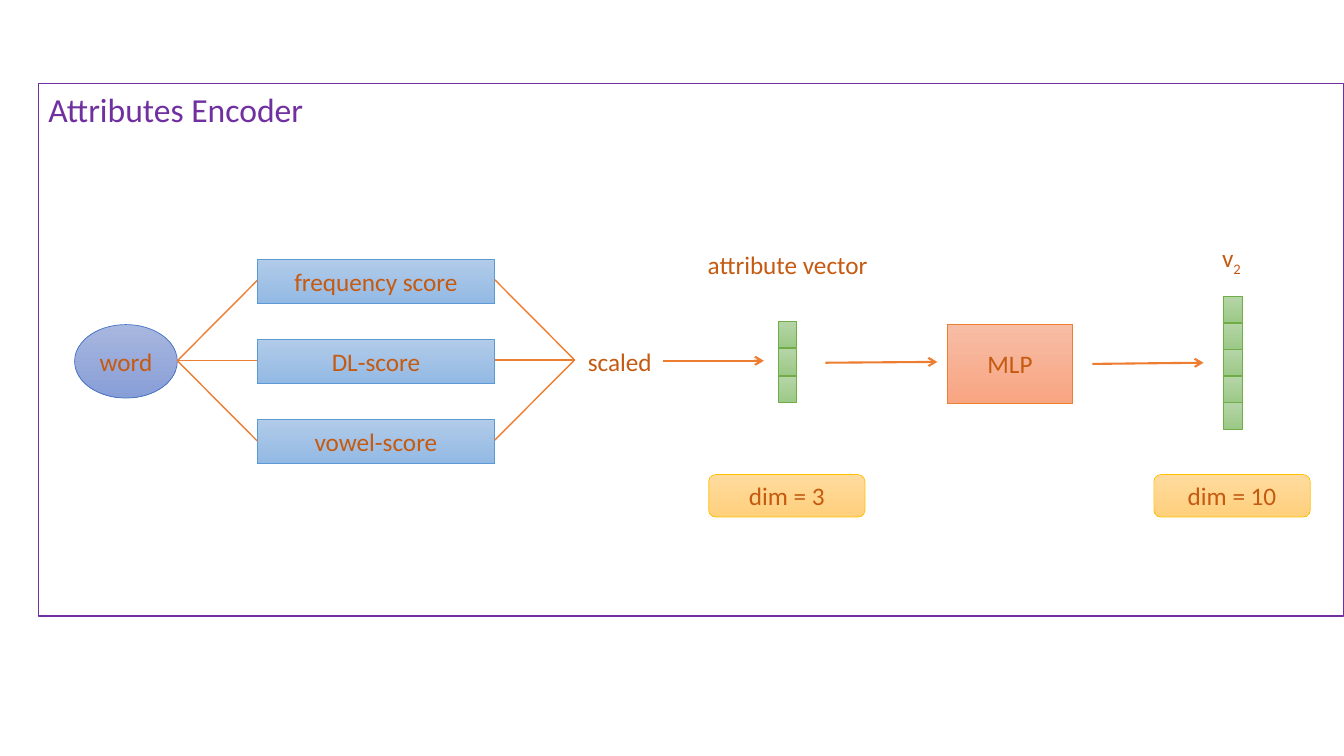
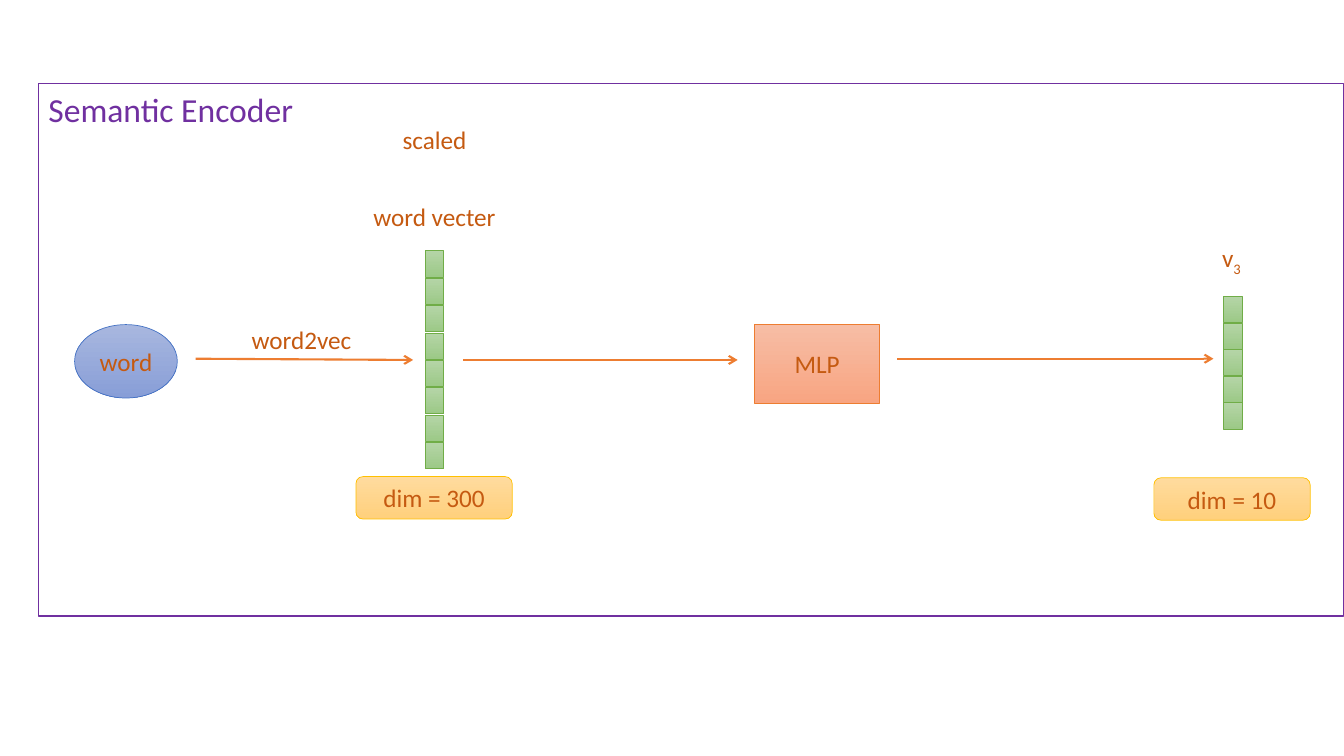
from dataclasses import dataclass

from lxml.etree import SubElement
from pptx import Presentation
from pptx.dml.color import RGBColor
from pptx.enum.shapes import MSO_CONNECTOR, MSO_SHAPE
from pptx.enum.text import MSO_ANCHOR, MSO_AUTO_SIZE, PP_ALIGN
from pptx.oxml.ns import qn
from pptx.slide import Slide
from pptx.text.text import TextFrame
from pptx.util import Cm, Pt

FONT = "Calibri"
INK, PURPLE, ORANGE = "C55A11", "7030A0", "ED7D31"
MID = 9.09   # height of the main flow, in cm
ROW = 2.02   # distance between score boxes


@dataclass
class Style:
    """Preset shape, gradient ends, outline and size in cm."""
    kind: MSO_SHAPE
    top: str
    end: str
    edge: str
    wide: float
    high: float


@dataclass
class Label:
    text: str
    x: float
    y: float
    wide: float = 3.66
    sub: str = ""


@dataclass
class Box:
    style: Style
    x: float
    y: float
    text: str = ""


@dataclass
class Stack:
    """Column of vector cells."""
    x: float
    y: float
    count: int
    step: float


@dataclass
class Link:
    x1: float
    y1: float
    x2: float
    y2: float
    arrow: bool = True


WORD = Style(MSO_SHAPE.OVAL, "A8B7DF", "889ED7", "4472C4", 2.59, 1.85)
SCORE = Style(MSO_SHAPE.RECTANGLE, "B1CBE9", "93B9E4", "5B9BD5", 5.99, 1.12)
CELL = Style(MSO_SHAPE.RECTANGLE, "B5D5A7", "9CC987", "70AD47", 0.46, 0.66)
MLP = Style(MSO_SHAPE.RECTANGLE, "F7BDA5", "F8A582", ORANGE, 3.15, 1.98)
DIM = Style(MSO_SHAPE.ROUNDED_RECTANGLE, "FFDB9E", "FFD07C", "FFC000", 3.94, 1.07)


def rgb(code: str) -> RGBColor:
    return RGBColor.from_string(code)


def write(frame: TextFrame, text: str, size: float = 18, color: str = INK,
          align: PP_ALIGN = PP_ALIGN.CENTER, sub: str = "") -> None:
    frame.text = text
    frame.word_wrap = True
    para = frame.paragraphs[0]
    para.alignment = align
    if sub:
        low = para.add_run()
        low.text = sub
        low._r.get_or_add_rPr().set("baseline", "-25000")
    for run in para.runs:
        run.font.name = FONT
        run.font.size = Pt(size)
        run.font.color.rgb = rgb(color)


def add_box(slide: Slide, box: Box) -> None:
    style = box.style
    shape = slide.shapes.add_shape(style.kind, Cm(box.x), Cm(box.y),
                                   Cm(style.wide), Cm(style.high))
    shape.shadow.inherit = False
    shape.fill.gradient()
    shape.fill.gradient_angle = 270
    for stop, code in zip(shape.fill.gradient_stops, (style.top, style.end)):
        stop.color.rgb = rgb(code)
    shape.line.color.rgb = rgb(style.edge)
    shape.line.width = Pt(0.5)
    if box.text:
        write(shape.text_frame, box.text)
        shape.text_frame.vertical_anchor = MSO_ANCHOR.MIDDLE


def add_label(slide: Slide, label: Label) -> None:
    area = slide.shapes.add_textbox(Cm(label.x), Cm(label.y), Cm(label.wide), Cm(1.02))
    write(area.text_frame, label.text, sub=label.sub)
    area.text_frame.auto_size = MSO_AUTO_SIZE.SHAPE_TO_FIT_TEXT


def add_stack(slide: Slide, stack: Stack) -> None:
    for i in range(stack.count):
        add_box(slide, Box(CELL, stack.x, stack.y + i * stack.step))


def add_link(slide: Slide, link: Link) -> None:
    line = slide.shapes.add_connector(MSO_CONNECTOR.STRAIGHT, Cm(link.x1), Cm(link.y1),
                                      Cm(link.x2), Cm(link.y2))
    line.line.color.rgb = rgb(ORANGE)
    line.line.width = Pt(1.5 if link.arrow else 1)
    if link.arrow:
        SubElement(line.line._get_or_add_ln(), qn("a:tailEnd")).set("type", "arrow")
    SubElement(line._element.spPr, qn("a:effectLst"))


def add_frame(slide: Slide, title: str) -> None:
    frame = slide.shapes.add_shape(MSO_SHAPE.RECTANGLE, Cm(0.97), Cm(2.11),
                                   Cm(32.89), Cm(13.41))
    frame.shadow.inherit = False
    frame.fill.background()
    frame.line.color.rgb = rgb(PURPLE)
    frame.line.width = Pt(1)
    head = slide.shapes.add_textbox(Cm(0.97), Cm(2.11), Cm(8.46), Cm(1.27))
    write(head.text_frame, title, 24, PURPLE, PP_ALIGN.LEFT)
    head.text_frame.auto_size = MSO_AUTO_SIZE.SHAPE_TO_FIT_TEXT


DRAW = {Box: add_box, Label: add_label, Stack: add_stack, Link: add_link}


def add_page(title: str, index: str, mlp: float, dim: float, parts: list) -> None:
    """Frame, word, MLP and output vector, plus the parts of one encoder."""
    slide = deck.slides.add_slide(deck.slide_layouts[6])
    shared = [
        Box(WORD, 1.88, 8.18, "word"),
        Box(MLP, mlp, 8.18, "MLP"),
        Label("v", 29.64, 5.99, 2.79, index),
        Stack(30.84, 7.47, 5, 0.67),
        Box(DIM, 29.08, dim, "dim = 10"),
    ]
    for part in shared + parts:
        DRAW[type(part)](slide, part)
    add_frame(slide, title)


deck = Presentation()
deck.slide_width, deck.slide_height = Cm(33.87), Cm(19.05)

# Attributes: three scores fan out from the word and meet again
fan = []
for i, name in enumerate(["frequency score", "DL-score", "vowel-score"]):
    shift = (i - 1) * ROW
    fan += [
        Box(SCORE, 6.48, 6.53 + i * ROW, name),
        Link(4.47, MID, 6.48, MID + shift, False),
        Link(14.48, 9.07, 12.47, 9.07 + shift, False),
    ]
add_page("Attributes Encoder", "2", 23.88, 11.96, fan + [
    Label("scaled", 13.79, 8.59),
    Link(16.71, MID, 19.25, MID),
    Label("attribute vector", 16.74, 6.15, 6.22),
    Stack(19.61, 8.1, 3, 0.69),
    Box(DIM, 17.86, 11.96, "dim = 3"),
    Link(20.8, 9.14, 23.62, 9.12),
    Link(27.53, 9.17, 30.33, 9.14),
])

# Semantics: one word vector
add_page("Semantic Encoder", "3", 19.02, 12.04, [
    Label("scaled", 9.12, 3),
    Label("word vecter", 9.12, 4.95),
    Label("word2vec", 5.77, 8.05),
    Link(4.93, 9.04, 10.41, 9.07),
    Stack(10.72, 6.32, 8, 0.69),
    Box(DIM, 8.97, 12.01, "dim = 300"),
    Link(11.68, 9.07, 18.59, 9.07),
    Link(22.61, 9.04, 30.58, 9.04),
])

deck.save("out.pptx")
